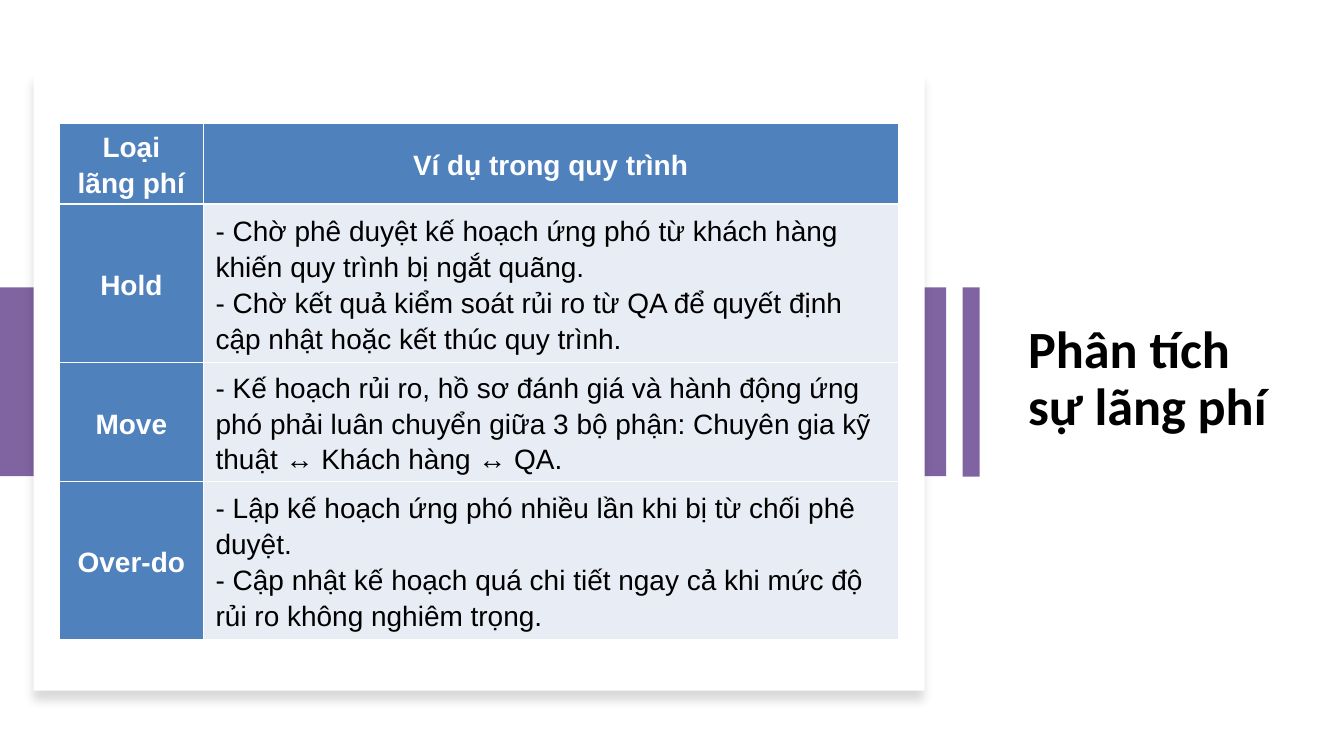
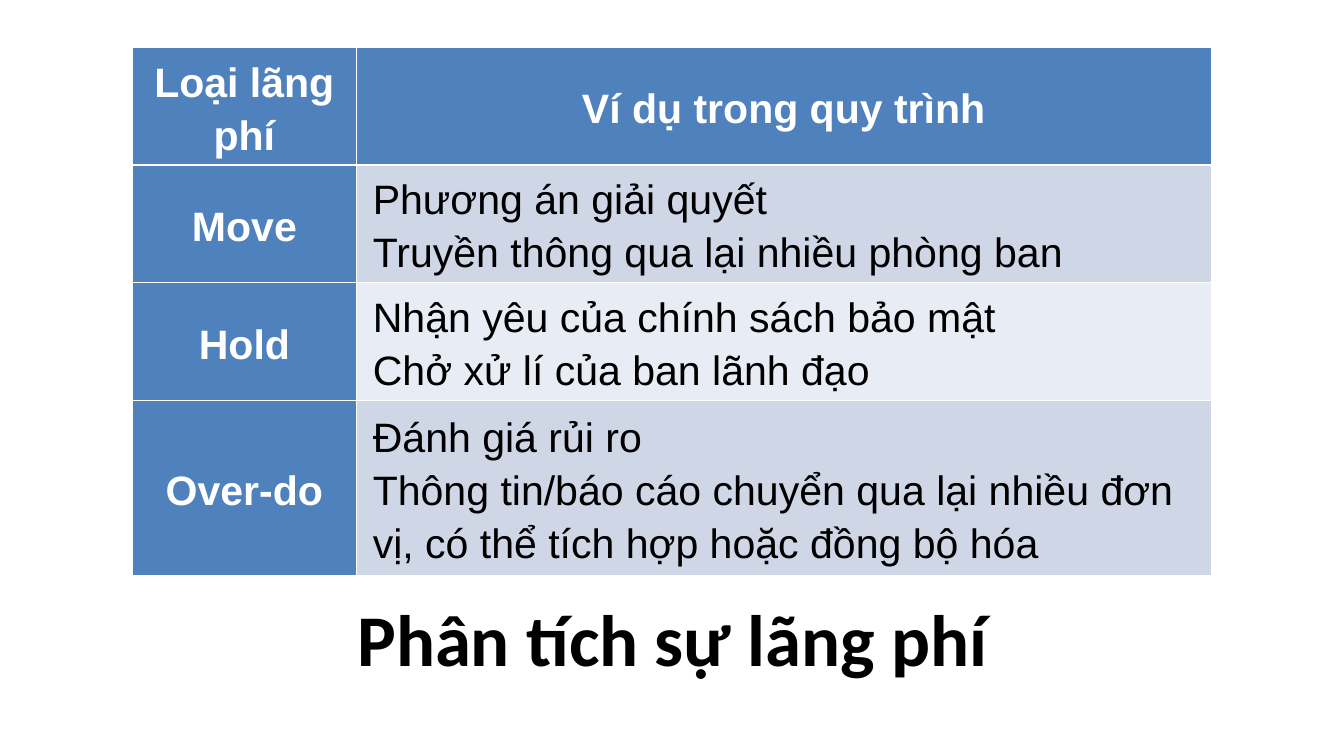
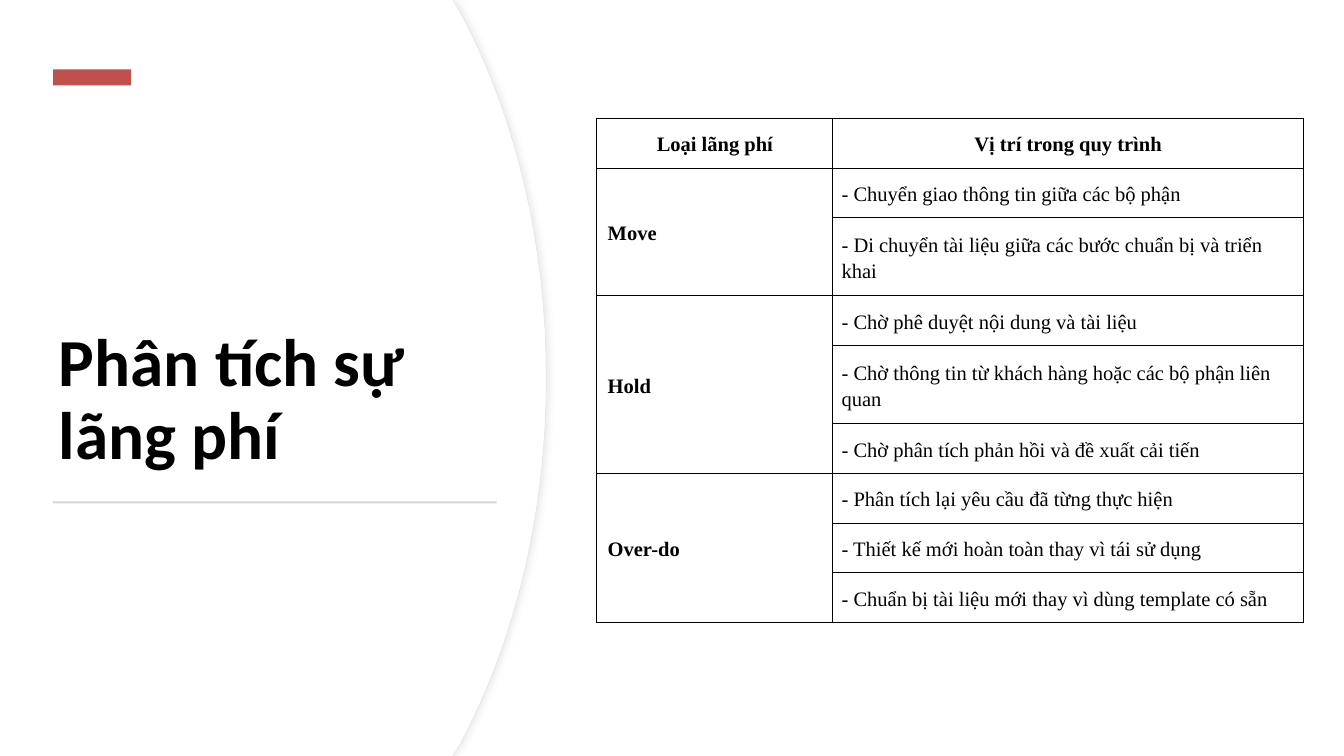
from dataclasses import dataclass
from itertools import cycle
from typing import Any

from lxml.etree import SubElement
from pptx import Presentation
from pptx.dml.color import RGBColor
from pptx.enum.shapes import MSO_SHAPE
from pptx.enum.text import MSO_ANCHOR, PP_ALIGN
from pptx.oxml.ns import qn
from pptx.util import Cm, Pt

WIDE = 50.8
HIGH = WIDE * 9 / 16
WHITE, BLACK = "FFFFFF", "000000"
PURPLE, RED, GREY, EDGE = "8064A2", "C0504D", "D5D5D5", "E6E6E6"
BLUE, PALE, MIST = "4F81BD", "E8ECF4", "CFD7E7"
HEAD = "Phân tích sự lãng phí"
LEFT, MID = PP_ALIGN.LEFT, PP_ALIGN.CENTER


@dataclass(frozen=True)
class Shade:
    tint: str
    alpha: int
    blur: float
    dist: float
    angle: int


@dataclass(frozen=True)
class Bar:
    left: float
    top: float
    width: float
    height: float
    fill: str
    shade: Shade | None = None


@dataclass(frozen=True)
class Title:
    left: float
    top: float
    width: float
    height: float
    size: int
    align: PP_ALIGN = LEFT
    anchor: MSO_ANCHOR = MSO_ANCHOR.MIDDLE


@dataclass(frozen=True)
class Look:
    face: str
    ink: str
    fill: str
    edge: str
    rule: int
    align: PP_ALIGN


@dataclass(frozen=True)
class Grid:
    left: float
    top: float
    cols: tuple[float, float]
    rows: tuple[float, ...]
    size: int
    look: Look
    bands: tuple[str, ...]
    pad: tuple[float, float]
    side: tuple[float, float]
    heads: tuple[str, str]
    items: tuple[tuple[str, tuple[str, ...]], ...]
    split: bool = False


VIVID = Look("Arial", WHITE, BLUE, WHITE, 3, MID)
PLAIN = Look("Times New Roman", BLACK, "", BLACK, 1, LEFT)

WASTE = Grid(
    2.26, 4.65, (5.41, 26.29), (3.07, 5.97, 4.52, 5.97), 30, VIVID, (PALE,),
    (0.48, 0), (0.48, 0), ("Loại lãng phí", "Ví dụ trong quy trình"),
    (
        ("Hold", (
            "- Chờ phê duyệt kế hoạch ứng phó từ khách hàng khiến quy trình bị ngắt quãng.",
            "- Chờ kết quả kiểm soát rủi ro từ QA để quyết định cập nhật hoặc kết thúc quy trình.",
        )),
        ("Move", (
            "- Kế hoạch rủi ro, hồ sơ đánh giá và hành động ứng phó phải luân chuyển giữa "
            "3 bộ phận: Chuyên gia kỹ thuật ↔ Khách hàng ↔ QA.",
        )),
        ("Over-do", (
            "- Lập kế hoạch ứng phó nhiều lần khi bị từ chối phê duyệt.",
            "- Cập nhật kế hoạch quá chi tiết ngay cả khi mức độ rủi ro không nghiêm trọng.",
        )),
    ),
)
POLICY = Grid(
    5, 1.78, (8.48, 32.31), (4.45, 4.45, 4.45, 6.6), 44, VIVID, (MIST, PALE),
    (0.61, 0), (0.61, 0), ("Loại lãng phí", "Ví dụ trong quy trình"),
    (
        ("Move", ("Phương án giải quyết", "Truyền thông qua lại nhiều phòng ban")),
        ("Hold", ("Nhận yêu của chính sách bảo mật", "Chở xử lí của ban lãnh đạo")),
        ("Over-do", (
            "Đánh giá rủi ro",
            "Thông tin/báo cáo chuyển qua lại nhiều đơn vị, có thể tích hợp hoặc đồng bộ hóa",
        )),
    ),
)
PLACES = Grid(
    22.56, 4.47, (8.92, 17.78), (1.88, 1.88, 2.95, 1.88, 2.95) + (1.88,) * 4,
    22, PLAIN, ("",), (0.33, 0.33), (0.41, 0.2),
    ("Loại lãng phí", "Vị trí trong quy trình"),
    (
        ("Move", (
            "- Chuyển giao thông tin giữa các bộ phận",
            "- Di chuyển tài liệu giữa các bước chuẩn bị và triển khai",
        )),
        ("Hold", (
            "- Chờ phê duyệt nội dung và tài liệu",
            "- Chờ thông tin từ khách hàng hoặc các bộ phận liên quan",
            "- Chờ phân tích phản hồi và đề xuất cải tiến",
        )),
        ("Over-do", (
            "- Phân tích lại yêu cầu đã từng thực hiện",
            "- Thiết kế mới hoàn toàn thay vì tái sử dụng",
            "- Chuẩn bị tài liệu mới thay vì dùng template có sẵn",
        )),
    ),
    split=True,
)


def tone(code: str) -> RGBColor:
    return RGBColor.from_string(code)


def apply(thing: Any, form: dict[str, Any]) -> None:
    for key, value in form.items():
        setattr(thing, key, value)


def write(frame: Any, lines: tuple[str, ...], font: dict[str, Any], ink: str,
          align: PP_ALIGN, space: float) -> None:
    for spot, line in enumerate(lines):
        para = frame.add_paragraph() if spot else frame.paragraphs[0]
        apply(para, {"alignment": align, "line_spacing": space})
        run = para.add_run()
        run.text = line
        apply(run.font, font)
        run.font.color.rgb = tone(ink)


def paint(shape: Any, fill: str, shade: Shade | None = None, edge: str = "") -> None:
    shape.fill.solid()
    shape.fill.fore_color.rgb = tone(fill)
    if edge:
        shape.line.color.rgb = tone(edge)
        shape.line.width = Pt(0.75)
    else:
        shape.line.fill.background()
    shape.shadow.inherit = False
    if shade:
        glow = SubElement(
            shape.element.spPr.find(qn("a:effectLst")), qn("a:outerShdw"),
            blurRad=str(Pt(shade.blur)), dist=str(Pt(shade.dist)),
            dir=str(shade.angle * 60000), algn="ctr", rotWithShape="0")
        tint = SubElement(glow, qn("a:srgbClr"), val=shade.tint)
        SubElement(tint, qn("a:alpha"), val=str(shade.alpha * 1000))


def draw_bar(slide: Any, bar: Bar) -> None:
    shape = slide.shapes.add_shape(
        MSO_SHAPE.RECTANGLE, Cm(bar.left), Cm(bar.top), Cm(bar.width), Cm(bar.height))
    paint(shape, bar.fill, bar.shade)


def draw_title(slide: Any, title: Title) -> None:
    frame = slide.shapes.add_textbox(
        Cm(title.left), Cm(title.top), Cm(title.width), Cm(title.height)).text_frame
    apply(frame, {"word_wrap": True, "vertical_anchor": title.anchor})
    font = {"name": "Calibri", "size": Pt(title.size), "bold": True}
    write(frame, (HEAD,), font, BLACK, title.align, 0.9)


def draw_curve(slide: Any, shift: float, shade: Shade | None, edge: str) -> None:
    half, steps = HIGH / 2, 24
    bend = ((17.42, 0.51), (19.46, 4.34), (20.65, 9.12), (20.65, half))
    upper = [(17.12, 0.0)]
    for step in range(steps + 1):
        t = step / steps
        parts = ((1 - t) ** 3, 3 * t * (1 - t) ** 2, 3 * t * t * (1 - t), t ** 3)
        upper.append((sum(p * x for p, (x, _) in zip(parts, bend)),
                      sum(p * y for p, (_, y) in zip(parts, bend))))
    lower = [(x, HIGH - y) for x, y in reversed(upper[:-1])]
    points = [(Cm(x - shift), Cm(y)) for x, y in upper + lower]
    pen = slide.shapes.build_freeform(0, 0)
    pen.add_line_segments(points + [(0, Cm(HIGH))], close=True)
    paint(pen.convert_to_shape(), WHITE, shade, edge)


def draw_cell(cell: Any, grid: Grid, row: int, col: int,
              lines: tuple[str, ...], band: str) -> None:
    look = grid.look
    label = row == 0 or col == 0
    props = cell._tc.get_or_add_tcPr()
    for side in "LRTB":
        thick = (row, side) in ((0, "B"), (1, "T"))
        line = SubElement(props, qn(f"a:ln{side}"), w=str(Pt(look.rule if thick else 1)))
        SubElement(SubElement(line, qn("a:solidFill")), qn("a:srgbClr"), val=look.edge)
    fill = look.fill if label else band
    if fill:
        cell.fill.solid()
        cell.fill.fore_color.rgb = tone(fill)
    else:
        cell.fill.background()
    across, down = grid.side if row and not col else grid.pad
    apply(cell, {"margin_left": Cm(across), "margin_right": Cm(across),
                 "margin_top": Cm(down), "margin_bottom": Cm(down),
                 "vertical_anchor": MSO_ANCHOR.MIDDLE})
    align = MID if row == 0 else LEFT if col else look.align
    font = {"name": look.face, "size": Pt(grid.size), "bold": label}
    write(cell.text_frame, lines, font, look.ink if label else BLACK, align, 1.15)


def draw_grid(slide: Any, grid: Grid) -> None:
    table = slide.shapes.add_table(
        len(grid.rows), 2, Cm(grid.left), Cm(grid.top),
        Cm(sum(grid.cols)), Cm(sum(grid.rows))).table
    apply(table, {"first_row": False, "horz_banding": False})
    for col, width in zip(table.columns, grid.cols):
        col.width = Cm(width)
    for row, height in zip(table.rows, grid.rows):
        row.height = Cm(height)
    for col, head in enumerate(grid.heads):
        draw_cell(table.cell(0, col), grid, 0, col, (head,), "")
    row = 1
    for (label, lines), band in zip(grid.items, cycle(grid.bands)):
        blocks = [(line,) for line in lines] if grid.split else [lines]
        last = row + len(blocks) - 1
        for spot, block in enumerate(blocks, row):
            name = (label,) if spot == row else ()
            draw_cell(table.cell(spot, 0), grid, spot, 0, name, band)
            draw_cell(table.cell(spot, 1), grid, spot, 1, block, band)
        if last > row:
            table.cell(row, 0).merge(table.cell(last, 0))
        row = last + 1


def main() -> None:
    deck = Presentation()
    apply(deck, {"slide_width": Cm(WIDE), "slide_height": Cm(HIGH)})
    first, second, third = (deck.slides.add_slide(deck.slide_layouts[6]) for _ in range(3))

    draw_title(first, Title(38.61, 8.43, 10.29, 11.86, 56))
    for bar in (
        Bar(0, 10.86, 35.76, 7.14, PURPLE),
        Bar(1.27, 2.77, 33.68, 23.34, WHITE, Shade(BLACK, 15, 11, 10, 90)),
        Bar(36.39, 10.86, 0.64, 7.16, PURPLE),
    ):
        draw_bar(first, bar)
    draw_grid(first, WASTE)

    draw_title(second, Title(3.51, 22.33, 43.82, 3.94, 78, MID))
    draw_grid(second, POLICY)

    draw_curve(third, 0, Shade("D8D8D8", 50, 6, 3, 0), EDGE)
    draw_curve(third, 0.03, None, "")
    draw_title(third, Title(1.98, 4.67, 16.76, 13.36, 72, anchor=MSO_ANCHOR.BOTTOM))
    draw_bar(third, Bar(2.01, 2.62, 2.95, 0.61, RED))
    draw_bar(third, Bar(2.01, 18.95, 16.76, 0.08, GREY))
    draw_grid(third, PLACES)

    deck.save("out.pptx")


if __name__ == "__main__":
    main()
